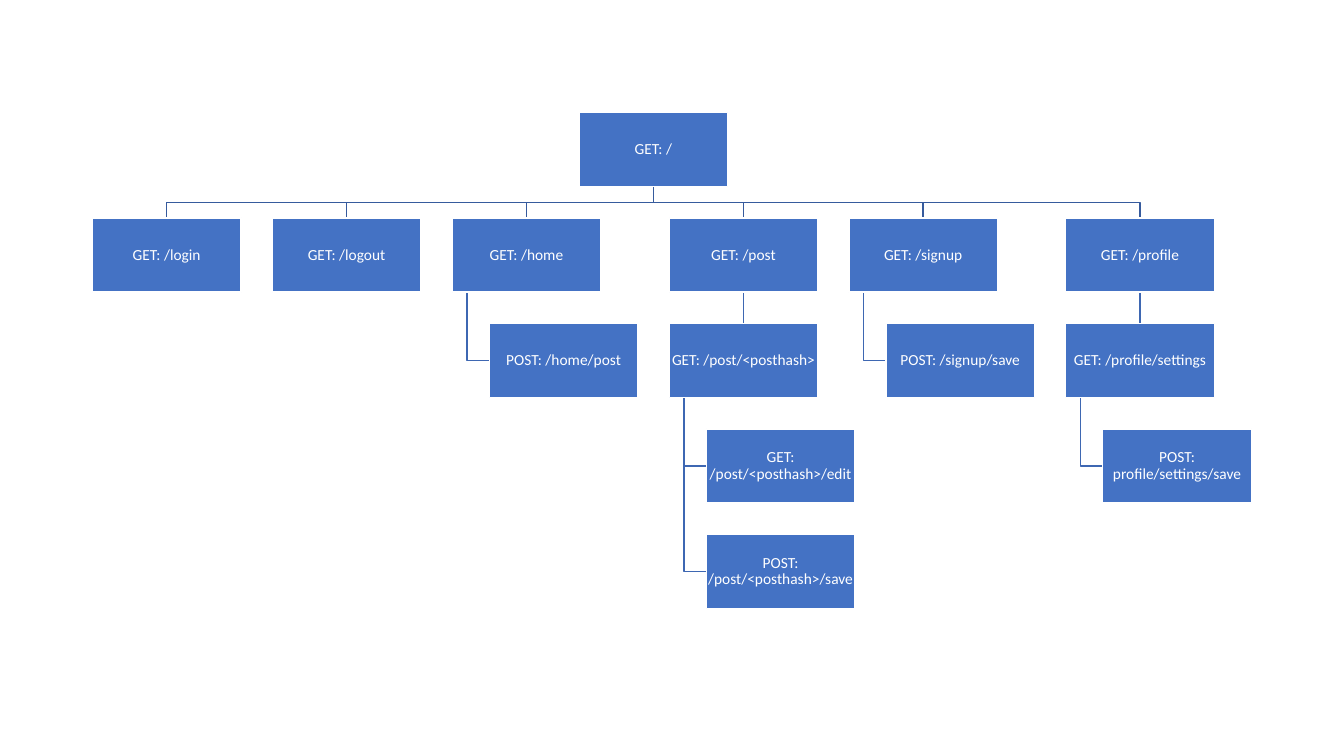
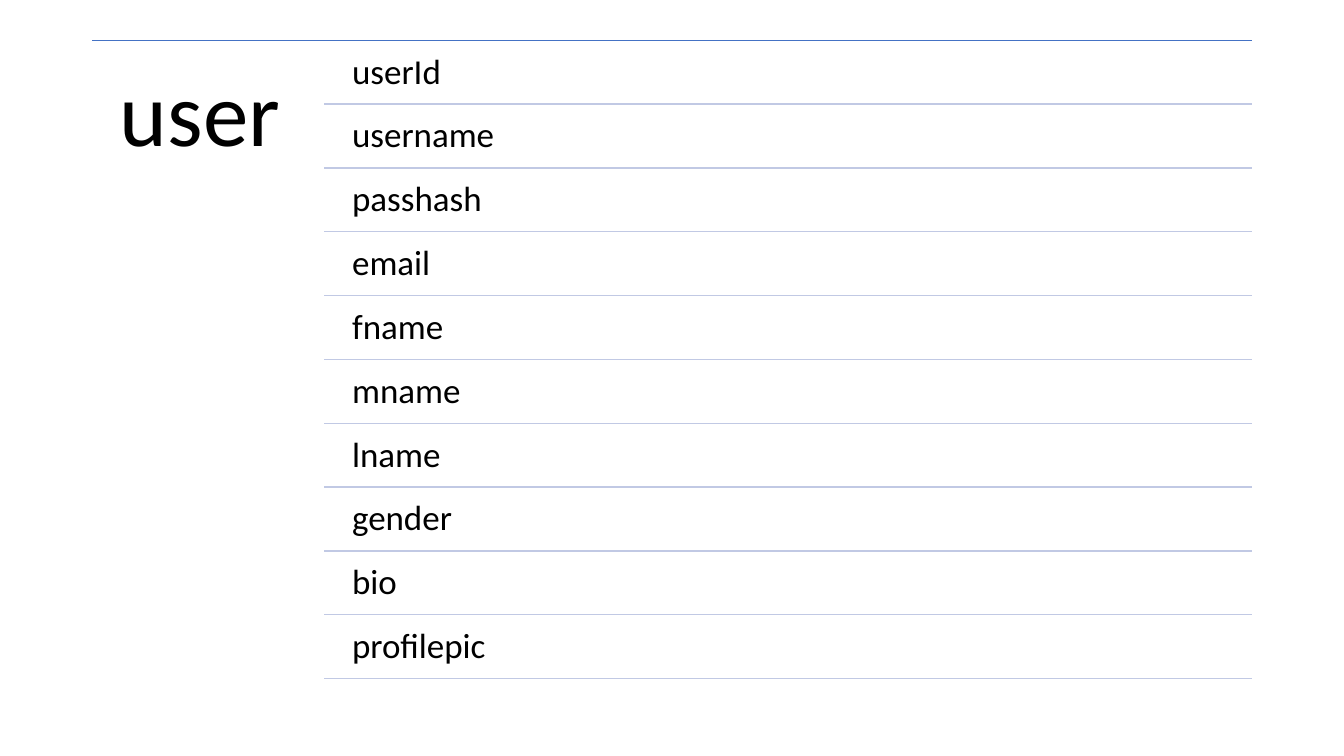
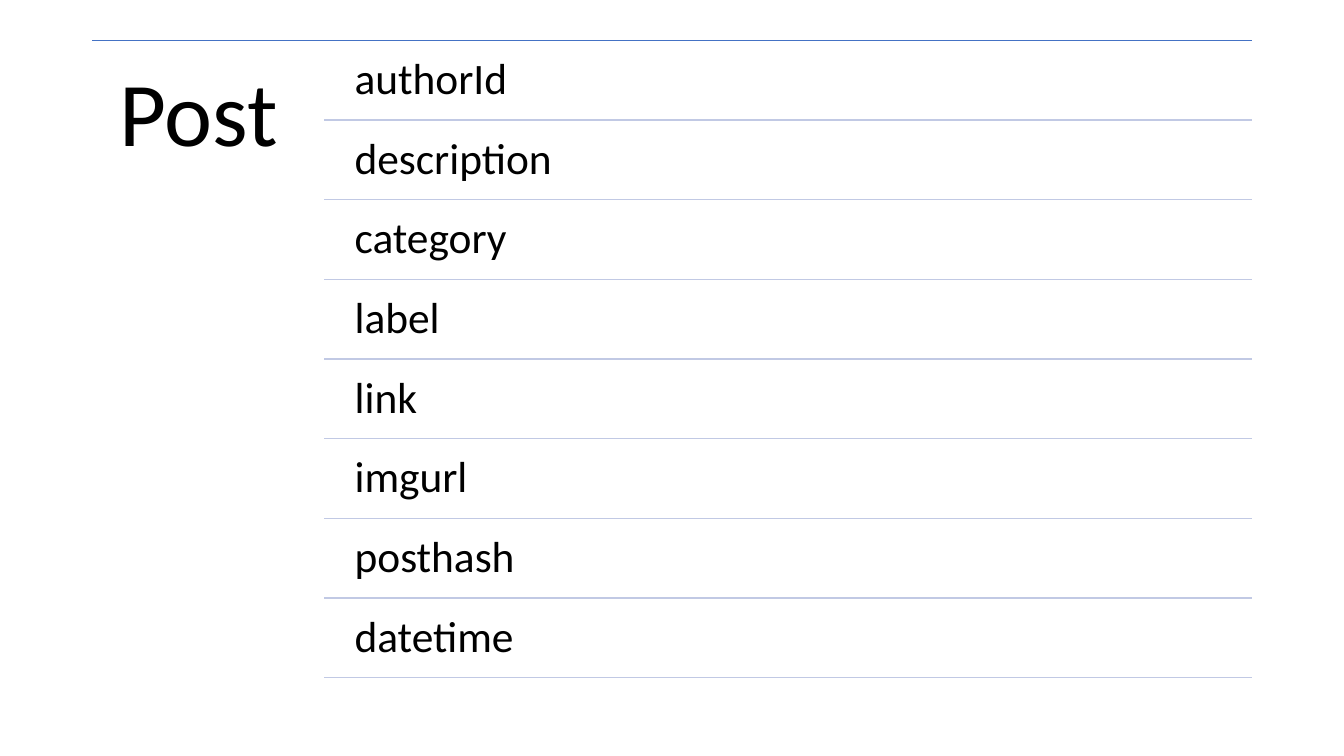
from lxml.etree import SubElement
from pptx import Presentation
from pptx.dml.color import RGBColor
from pptx.enum.shapes import MSO_CONNECTOR, MSO_SHAPE
from pptx.enum.text import MSO_ANCHOR, PP_ALIGN
from pptx.oxml.ns import qn
from pptx.util import Pt

BLUE = RGBColor(0x44, 0x72, 0xC4)
TRUNK_BLUE = RGBColor(0x36, 0x5B, 0x9D)
BRANCH_BLUE = RGBColor(0x3E, 0x67, 0xB2)
PALE_BLUE = RGBColor(0xC1, 0xC9, 0xE4)
WHITE = RGBColor(0xFF, 0xFF, 0xFF)
BLACK = RGBColor(0, 0, 0)


def write(box, text, size, inset, colour, align=PP_ALIGN.LEFT, anchor=MSO_ANCHOR.TOP):
    frame = box.text_frame
    frame.word_wrap = True
    frame.vertical_anchor = anchor
    frame.margin_left = frame.margin_right = Pt(inset)
    frame.margin_top = frame.margin_bottom = Pt(inset)
    paragraph = frame.paragraphs[0]
    paragraph.text = text
    paragraph.alignment = align
    paragraph.line_spacing = 0.9
    paragraph.font.name = "Calibri"
    paragraph.font.size = Pt(size)
    paragraph.font.color.rgb = colour


def draw_line(page, points, colour):
    points = [(Pt(x), Pt(y)) for x, y in points]
    if len(points) == 2:
        line = page.shapes.add_connector(MSO_CONNECTOR.STRAIGHT, *points[0], *points[1])
        SubElement(line.element.spPr, qn("a:effectLst"))
    else:
        builder = page.shapes.build_freeform(*points[0])
        builder.add_line_segments(points[1:], close=False)
        line = builder.convert_to_shape()
        line.fill.background()
        line.shadow.inherit = False
    line.line.color.rgb = colour
    line.line.width = Pt(1)


deck = Presentation()
deck.slide_width = Pt(960)
deck.slide_height = Pt(540)
blank = deck.slide_layouts[6]

CARD_WIDTH = 106.2
CARD_HEIGHT = 53
ROW_STEP = 75.36
INDENT = 26.5
FIRST_TOP = 80.3

routes = [
    (66, ["GET: /login"], []),
    (194.5, ["GET: /logout"], []),
    (323, ["GET: /home"], ["POST: /home/post"]),
    (478, ["GET: /post", "GET: /post/<posthash>"],
     ["GET: /post/<posthash>/edit", "POST: /post/<posthash>/save"]),
    (606.3, ["GET: /signup"], ["POST: /signup/save"]),
    (761.2, ["GET: /profile", "GET: /profile/settings"], ["POST: profile/settings/save"]),
]

page = deck.slides.add_slide(blank)
root_left = (routes[0][0] + routes[-1][0]) / 2
root_centre = root_left + CARD_WIDTH / 2
root_bottom = FIRST_TOP + CARD_HEIGHT
second_top = FIRST_TOP + ROW_STEP
middle = (root_bottom + second_top) / 2
cards = [("GET: /", root_left, FIRST_TOP)]

for left, stack, children in routes:
    centre = left + CARD_WIDTH / 2
    draw_line(page, [(root_centre, root_bottom), (root_centre, middle),
                     (centre, middle), (centre, second_top)], TRUNK_BLUE)
    for level, label in enumerate(stack):
        top = second_top + level * ROW_STEP
        cards.append((label, left, top))
        if level:
            draw_line(page, [(centre, top - ROW_STEP + CARD_HEIGHT), (centre, top)], BRANCH_BLUE)
    branch_left = left + CARD_WIDTH / 10
    branch_top = top + CARD_HEIGHT
    for label in children:
        top += ROW_STEP
        child_middle = top + CARD_HEIGHT / 2
        cards.append((label, left + INDENT, top))
        draw_line(page, [(branch_left, branch_top), (branch_left, child_middle),
                         (left + INDENT, child_middle)], BRANCH_BLUE)

for label, left, top in cards:
    card = page.shapes.add_shape(MSO_SHAPE.RECTANGLE, Pt(left), Pt(top),
                                 Pt(CARD_WIDTH), Pt(CARD_HEIGHT))
    card.shadow.inherit = False
    card.fill.solid()
    card.fill.fore_color.rgb = BLUE
    card.line.color.rgb = WHITE
    card.line.width = Pt(1)
    write(card, label, 11, 0.55, WHITE, PP_ALIGN.CENTER, MSO_ANCHOR.MIDDLE)

LIST_LEFT = 66
LIST_RIGHT = 894
LIST_TOP = 28.8
LIST_HEIGHT = 458
TITLE_WIDTH = 165.6
FIELD_LEFT = 244
RULE_LEFT = LIST_LEFT + TITLE_WIDTH

entities = [
    ("user", 25, ["userId", "username", "passhash", "email", "fname", "mname",
                  "lname", "gender", "bio", "profilepic"]),
    ("Post", 31, ["authorId", "description", "category", "label", "link", "imgurl",
                  "posthash", "datetime"]),
]

for name, size, fields in entities:
    page = deck.slides.add_slide(blank)
    draw_line(page, [(LIST_LEFT, LIST_TOP), (LIST_RIGHT, LIST_TOP)], BLUE)
    title = page.shapes.add_textbox(Pt(LIST_LEFT), Pt(LIST_TOP), Pt(TITLE_WIDTH), Pt(LIST_HEIGHT))
    write(title, name, 65, 19.5, BLACK)
    row_height = LIST_HEIGHT / (1.05 * len(fields) + 0.05)
    gap = row_height * 0.05
    for index, field in enumerate(fields):
        top = LIST_TOP + gap + index * (row_height + gap)
        bottom = top + row_height
        box = page.shapes.add_textbox(Pt(FIELD_LEFT), Pt(top),
                                      Pt(LIST_RIGHT - FIELD_LEFT), Pt(row_height))
        write(box, field, size, size * 0.3, BLACK)
        draw_line(page, [(RULE_LEFT, bottom), (LIST_RIGHT, bottom)], PALE_BLUE)

deck.save("out.pptx")
